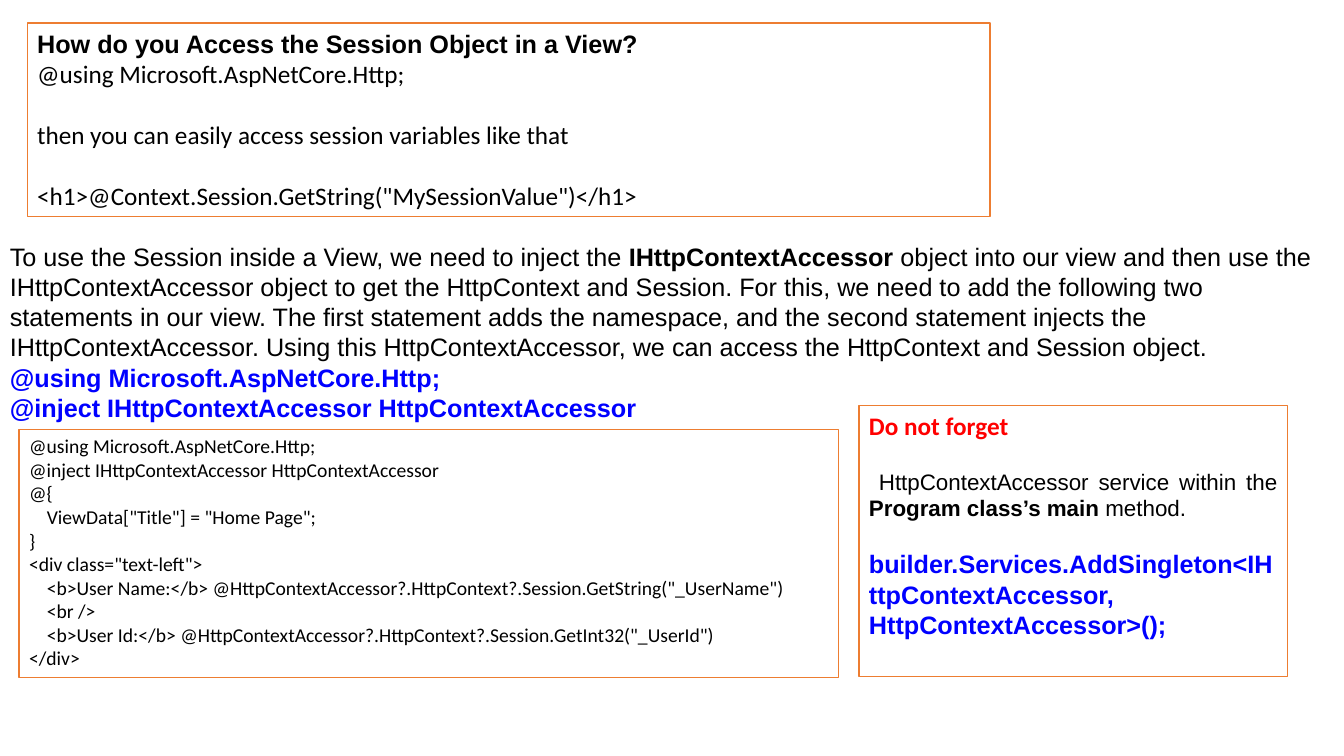
from dataclasses import dataclass

from pptx import Presentation
from pptx.dml.color import RGBColor
from pptx.enum.shapes import MSO_SHAPE
from pptx.enum.text import MSO_ANCHOR, PP_ALIGN
from pptx.util import Inches, Pt


@dataclass(frozen=True)
class Theme:
    white: str = "FFFFFF"
    text: str = "000000"
    frame: str = "ED7D31"
    code: str = "0000FF"
    warning: str = "FF0000"
    prose_font: str = "Arial"
    code_font: str = "Calibri"
    body: int = 18
    note: int = 16
    listing: int = 14
    frame_width: int = 1


T = Theme()

LISTING = """@using Microsoft.AspNetCore.Http;
@inject IHttpContextAccessor HttpContextAccessor
@{
    ViewData["Title"] = "Home Page";
}
<div class="text-left">
    <b>User Name:</b> @HttpContextAccessor?.HttpContext?.Session.GetString("_UserName")
    <br />
    <b>User Id:</b> @HttpContextAccessor?.HttpContext?.Session.GetInt32("_UserId")
</div>"""


def add_framed_box(slide, box):
    """Add a white box with an orange frame and return its text frame."""
    sp = slide.shapes.add_shape(MSO_SHAPE.RECTANGLE, *map(Inches, box))
    sp.shadow.inherit = False
    sp.fill.solid()
    sp.fill.fore_color.rgb = RGBColor.from_string(T.white)
    sp.line.color.rgb = RGBColor.from_string(T.frame)
    sp.line.width = Pt(T.frame_width)
    return prepare(sp.text_frame)


def prepare(tf):
    tf.word_wrap = True
    tf.vertical_anchor = MSO_ANCHOR.TOP
    return tf


def add_line(tf, parts, size=T.body, font=T.prose_font, color=T.text,
             align=PP_ALIGN.LEFT, before=0):
    """Append a paragraph made of (text, bold) parts."""
    p = tf.paragraphs[0]
    if p.runs:
        p = tf.add_paragraph()
    p.alignment = align
    if before:
        p.space_before = Pt(before)
    for text, bold in parts:
        r = p.add_run()
        r.text = text
        r.font.name = font
        r.font.size = Pt(size)
        r.font.bold = bold
        r.font.color.rgb = RGBColor.from_string(color)


def add_question(slide, box):
    tf = add_framed_box(slide, box)
    add_line(tf, [("How do you Access the Session Object in a View?", True)],
             align=PP_ALIGN.JUSTIFY)
    for text, before in [
        ("@using Microsoft.AspNetCore.Http;", 0),
        ("then you can easily access session variables like that", 22),
        ('<h1>@Context.Session.GetString("MySessionValue")</h1>', 22),
    ]:
        add_line(tf, [(text, False)], font=T.code_font, before=before)


def add_explanation(slide, box):
    tf = prepare(slide.shapes.add_textbox(*map(Inches, box)).text_frame)
    add_line(tf, [
        ("To use the Session inside a View, we need to inject the ", False),
        ("IHttpContextAccessor", True),
        (" object into our view and then use the IHttpContextAccessor object "
         "to get the HttpContext and Session. For this, we need to add the "
         "following two statements in our view. The first statement adds the "
         "namespace, and the second statement injects the "
         "IHttpContextAccessor. Using this HttpContextAccessor, we can access "
         "the HttpContext and Session object.", False),
    ])
    for statement in LISTING.splitlines()[:2]:
        add_line(tf, [(statement, True)], color=T.code)


def add_listing(slide, box):
    tf = add_framed_box(slide, box)
    for line in LISTING.splitlines():
        add_line(tf, [(line, False)], size=T.listing, font=T.code_font)


def add_reminder(slide, box):
    tf = add_framed_box(slide, box)
    add_line(tf, [("Do not forget", True)], font=T.code_font, color=T.warning)
    add_line(tf, [
        (" HttpContextAccessor service within the ", False),
        ("Program class’s main ", True),
        ("method.", False),
    ], size=T.note, align=PP_ALIGN.JUSTIFY, before=19.5)
    add_line(tf, [("builder.Services.AddSingleton<IHttpContextAccessor, "
                   "HttpContextAccessor>();", True)],
             color=T.code, align=PP_ALIGN.JUSTIFY, before=19.5)


def main():
    prs = Presentation()
    prs.slide_width, prs.slide_height = Inches(13.33), Inches(7.5)
    slide = prs.slides.add_slide(prs.slide_layouts[6])

    # Question and short answer, then the explanation
    add_question(slide, (0.27, 0.23, 9.55, 1.92))
    add_explanation(slide, (0, 2.34, 13.14, 1.92))

    # View code with the service reminder beside it
    add_listing(slide, (0.19, 4.26, 8.13, 2.46))
    add_reminder(slide, (8.52, 4.02, 4.25, 2.69))

    prs.save("out.pptx")


if __name__ == "__main__":
    main()
